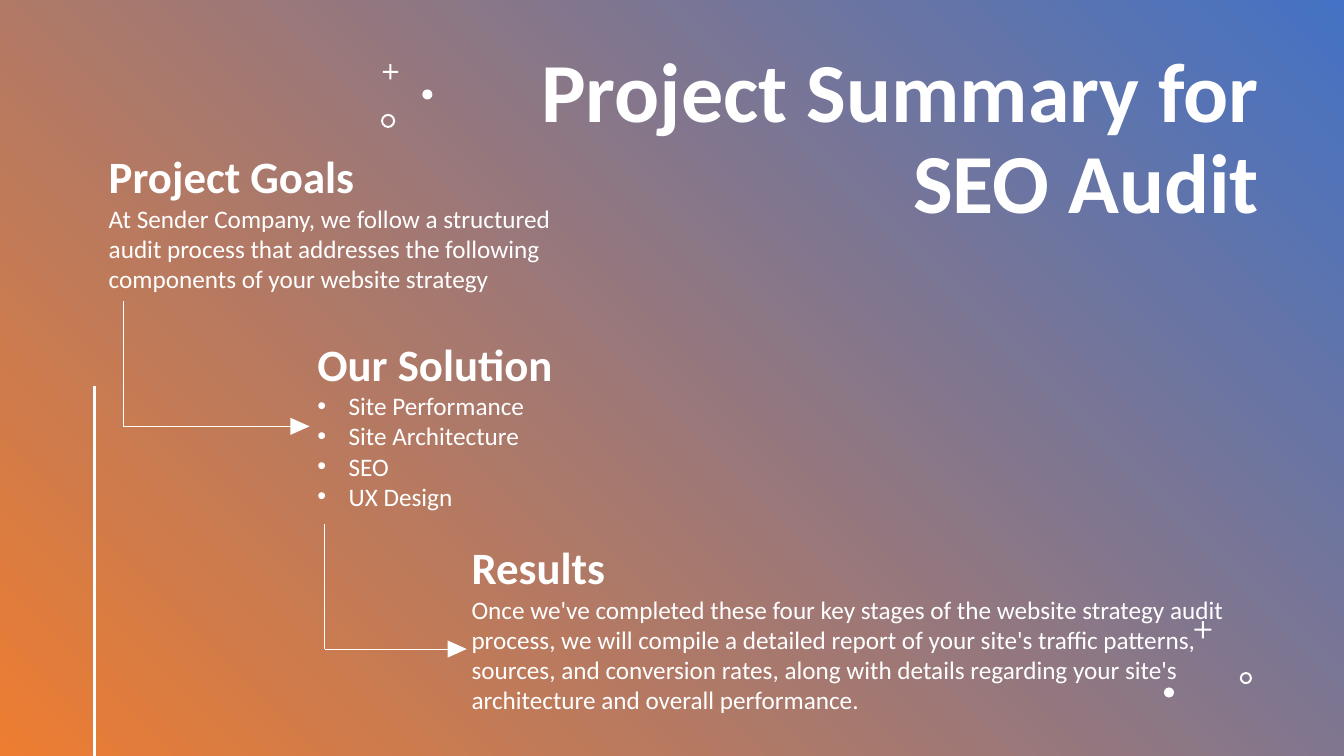
from lxml.etree import SubElement
from pptx import Presentation
from pptx.dml.color import RGBColor
from pptx.enum.shapes import MSO_CONNECTOR, MSO_SHAPE
from pptx.enum.text import MSO_AUTO_SIZE, PP_ALIGN
from pptx.oxml.ns import qn
from pptx.util import Inches, Pt

WHITE = RGBColor(0xFF, 0xFF, 0xFF)
BLUE = RGBColor(0x44, 0x72, 0xC4)
ORANGE = RGBColor(0xED, 0x7D, 0x31)
FONT = "Calibri"
SLIDE_W, SLIDE_H = Inches(13.33), Inches(7.5)
STROKE = 0.15  # stroke of the plus and ring marks, in columns


def cols(n):
    """Length of n columns, each a hundredth of the slide's width."""
    return round(SLIDE_W * n / 100)


def rows(n):
    """Length of n rows, each a hundredth of the slide's height."""
    return round(SLIDE_H * n / 100)


def add_background(slide):
    background = slide.shapes.add_shape(MSO_SHAPE.RECTANGLE, 0, 0, SLIDE_W, SLIDE_H)
    background.shadow.inherit = False
    background.line.fill.background()
    background.fill.gradient()
    background.fill.gradient_angle = 225
    for stop, color in zip(background.fill.gradient_stops, (BLUE, ORANGE)):
        stop.color.rgb = color


def add_white_shape(slide, preset, left, top, width, height):
    shape = slide.shapes.add_shape(preset, left, top, width, height)
    shape.shadow.inherit = False
    shape.fill.solid()
    shape.fill.fore_color.rgb = WHITE
    shape.line.fill.background()
    return shape


def add_white_line(slide, start, end, weight):
    line = slide.shapes.add_connector(MSO_CONNECTOR.STRAIGHT, *start, *end)
    line.line.color.rgb = WHITE
    line.line.width = Pt(weight)
    SubElement(line.element.spPr, qn("a:effectLst"))


def add_marks(slide, left, top, marks):
    """Scatter marks, each (preset, column, row, size) by its centre in the region."""
    for preset, column, row, size in marks:
        side = cols(size)
        mark = add_white_shape(slide, preset, cols(left + column) - side // 2,
                               rows(top + row) - side // 2, side, side)
        if preset == MSO_SHAPE.CROSS:
            mark.adjustments[0] = (1 - STROKE / size) / 2
        elif preset == MSO_SHAPE.DONUT:
            mark.adjustments[0] = STROKE / size


def add_text_frame(slide, left, top, width, height):
    frame = slide.shapes.add_textbox(cols(left), rows(top), cols(width), rows(height)).text_frame
    frame.word_wrap = True
    return frame


def format_text(paragraph, size, bold=False):
    for run in paragraph.runs:
        run.font.name = FONT
        run.font.size = Pt(size)
        run.font.bold = bold
        run.font.color.rgb = WHITE


def add_title(slide, box, wording):
    title = add_text_frame(slide, *box).paragraphs[0]
    title.text = wording
    title.alignment = PP_ALIGN.RIGHT
    title.line_spacing = 0.9
    title.space_after = Pt(6)
    format_text(title, 60, bold=True)


def add_bullet(paragraph):
    properties = paragraph._p.get_or_add_pPr()
    indent = Inches(0.31)
    properties.set("marL", str(indent))
    properties.set("indent", str(-indent))
    SubElement(properties, qn("a:buFont"), typeface="Arial")
    SubElement(properties, qn("a:buChar"), char="•")


def add_stage(slide, box, heading, body, bulleted=False):
    frame = add_text_frame(slide, *box)
    frame.auto_size = MSO_AUTO_SIZE.SHAPE_TO_FIT_TEXT
    frame.text = heading
    format_text(frame.paragraphs[0], 32, bold=True)
    for wording in body:
        paragraph = frame.add_paragraph()
        paragraph.text = wording
        format_text(paragraph, 18)
        if bulleted:
            add_bullet(paragraph)


def add_elbow_arrow(slide, left, top, width, height):
    """Go down the left side of the box, then right to a head at its corner."""
    x, tip = cols(left), cols(left + width)
    y = rows(top + height)
    head_width, head_length = Inches(0.17), Inches(0.19)
    add_white_line(slide, (x, rows(top)), (x, y), 0.5)
    add_white_line(slide, (x, y), (tip - head_width, y), 0.5)
    head = add_white_shape(slide, MSO_SHAPE.ISOSCELES_TRIANGLE,
                           tip - (head_length + head_width) // 2, y - head_length // 2,
                           head_width, head_length)
    head.rotation = 90


def main():
    presentation = Presentation()
    presentation.slide_width, presentation.slide_height = SLIDE_W, SLIDE_H
    slide = presentation.slides.add_slide(presentation.slide_layouts[6])

    add_background(slide)
    add_marks(slide, 28.35, 8.5, [
        (MSO_SHAPE.CROSS, 0.7, 1, 1.13),
        (MSO_SHAPE.OVAL, 3.45, 4, 0.75),
        (MSO_SHAPE.DONUT, 0.53, 7.5, 1.05),
    ])
    add_white_line(slide, (cols(7.05), rows(51)), (cols(7.05), rows(100)), 2)
    add_marks(slide, 86.6, 82.1, [
        (MSO_SHAPE.CROSS, 2.9, 1.2, 1.28),
        (MSO_SHAPE.DONUT, 6.1, 7.6, 0.9),
        (MSO_SHAPE.OVAL, 0.38, 9.5, 0.75),
    ])
    add_title(slide, (35.7, 6, 58.73, 60.67), "Project Summary for SEO Audit")
    add_stage(slide, (7.35, 19.07, 35.25, 20.67), "Project Goals", [
        "At Sender Company, we follow a structured audit process that addresses "
        "the following components of your website strategy",
    ])
    add_stage(slide, (22.88, 43.87, 22.43, 24.67), "Our Solution",
              ["Site Performance", "Site Architecture", "SEO", "UX Design"], bulleted=True)
    add_stage(slide, (34.35, 70.8, 61.28, 24.67), "Results", [
        "Once we've completed these four key stages of the website strategy audit",
        "process, we will compile a detailed report of your site's traffic patterns,",
        "sources, and conversion rates, along with details regarding your site's",
        "architecture and overall performance.",
    ])
    add_elbow_arrow(slide, 9.15, 39.87, 13.88, 16.53)
    add_elbow_arrow(slide, 24.15, 69.33, 10.58, 16.53)

    presentation.save("out.pptx")


if __name__ == "__main__":
    main()
